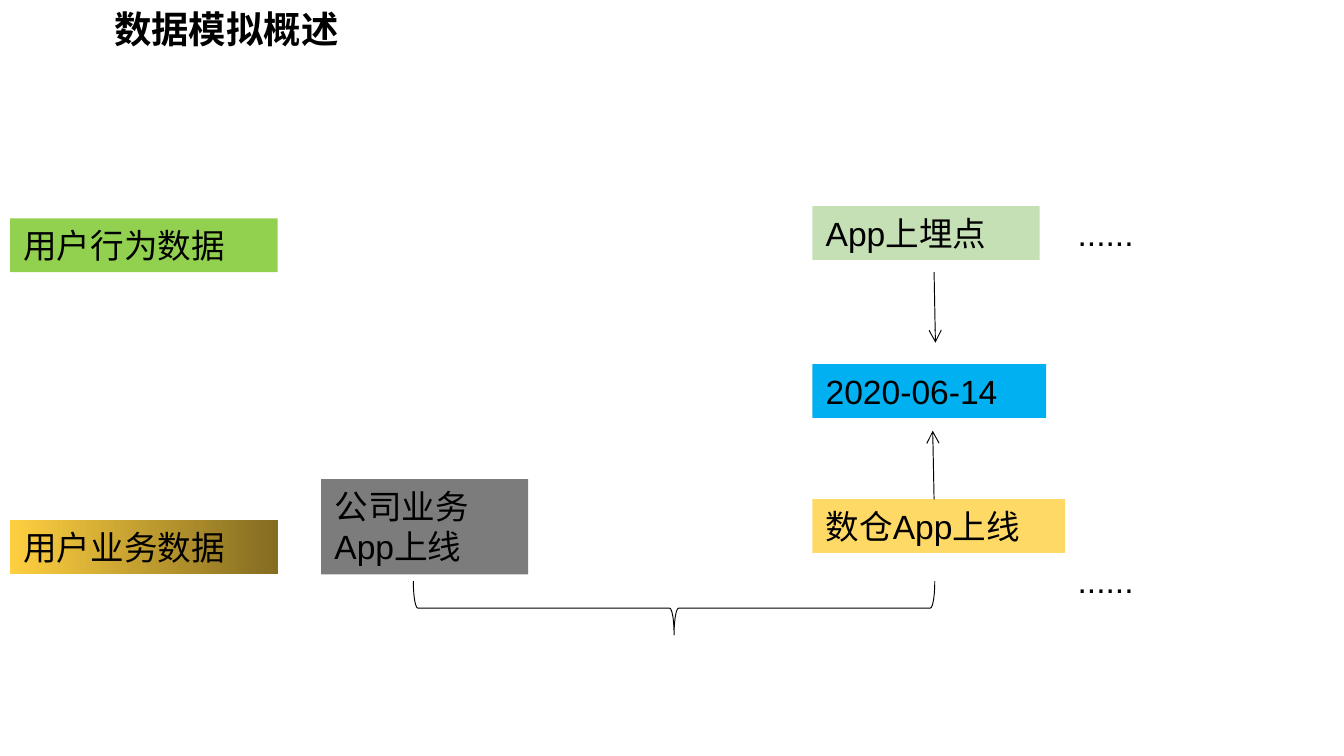
from dataclasses import dataclass

from lxml.etree import SubElement
from pptx import Presentation
from pptx.dml.color import RGBColor
from pptx.enum.shapes import MSO_CONNECTOR, MSO_SHAPE
from pptx.enum.text import MSO_ANCHOR, MSO_AUTO_SIZE, PP_ALIGN
from pptx.oxml.ns import qn
from pptx.util import Pt

PX = 4572  # EMU per px, 200 px to the inch


@dataclass(frozen=True)
class Theme:
    font: str = "Arial"
    title_size: int = 20
    body_size: int = 18
    line_width: float = 0.5
    ink: str = "000000"
    behavior: str = "92D050"
    business: tuple = ("FECF40", "846C21")
    company: str = "7C7C7C"
    warehouse: str = "FFD966"
    tracking: str = "C5E0B4"
    date: str = "00B0F0"


THEME = Theme()


def px(*lengths):
    return [length * PX for length in lengths]


def rgb(code):
    return RGBColor.from_string(code)


def set_text(shape, text, size, bold=False, wrap=True):
    frame = shape.text_frame
    frame.text = text
    frame.word_wrap = wrap
    frame.auto_size = MSO_AUTO_SIZE.SHAPE_TO_FIT_TEXT
    frame.vertical_anchor = MSO_ANCHOR.TOP
    paragraph = frame.paragraphs[0]
    paragraph.alignment = PP_ALIGN.LEFT
    font = paragraph.runs[0].font
    font.name = THEME.font
    font.size = Pt(size)
    font.bold = bold
    font.color.rgb = rgb(THEME.ink)


def set_line(shape):
    shape.line.color.rgb = rgb(THEME.ink)
    shape.line.width = Pt(THEME.line_width)


def add_title(slide, text, left, top, width, height):
    title = slide.shapes.title
    title.left, title.top, title.width, title.height = px(left, top, width, height)
    set_text(title, text, THEME.title_size, bold=True, wrap=False)


def add_label(slide, text, color, left, top, width, height=80):
    """Filled box; a pair of colours gives a left-to-right gradient."""
    label = slide.shapes.add_shape(MSO_SHAPE.RECTANGLE, *px(left, top, width, height))
    label.shadow.inherit = False
    label.line.fill.background()
    if isinstance(color, tuple):
        label.fill.gradient()
        label.fill.gradient_angle = 0
        for stop, code in zip(label.fill.gradient_stops, color):
            stop.color.rgb = rgb(code)
    else:
        label.fill.solid()
        label.fill.fore_color.rgb = rgb(color)
    set_text(label, text, THEME.body_size)


def add_ellipsis(slide, left, top):
    ellipsis = slide.shapes.add_textbox(*px(left, top, 202, 80))
    set_text(ellipsis, "......", THEME.body_size)


def add_brace(slide, left, top, width, height):
    brace = slide.shapes.add_shape(MSO_SHAPE.RIGHT_BRACE, *px(left, top, width, height))
    brace.rotation = 90
    brace.shadow.inherit = False
    brace.fill.background()
    set_line(brace)


def add_arrow(slide, start, end):
    arrow = slide.shapes.add_connector(MSO_CONNECTOR.STRAIGHT, *px(*start, *end))
    set_line(arrow)
    SubElement(arrow.line._get_or_add_ln(), qn("a:tailEnd"), type="arrow")
    SubElement(arrow._element.spPr, qn("a:effectLst"))


def main():
    deck = Presentation()
    deck.slide_width, deck.slide_height = px(2000, 1125)
    slide = deck.slides.add_slide(deck.slide_layouts[5])
    add_title(slide, "数据模拟概述", 150, -1, 374, 88)

    # Kinds of data
    kinds_left, kinds_width = 15, 398
    add_label(slide, "用户行为数据", THEME.behavior, kinds_left, 325, kinds_width)
    add_label(slide, "用户业务数据", THEME.business, kinds_left, 774, kinds_width)

    # Launch events
    events_left = 1209
    add_label(slide, "公司业务App上线", THEME.company, 478, 713, 308, 142)
    add_label(slide, "数仓App上线", THEME.warehouse, events_left, 743, 376)
    add_label(slide, "App上埋点", THEME.tracking, events_left, 307, 338)
    add_label(slide, "2020-06-14", THEME.date, events_left, 542, 348)

    # Span between the two launches
    add_brace(slide, 963, 517, 80, 776)

    # Later data in both rows
    for top in (307, 824):
        add_ellipsis(slide, 1584, top)

    # Both events lead to the date
    add_arrow(slide, (1390, 405), (1392, 510))
    add_arrow(slide, (1390, 743), (1388, 641))

    deck.save("out.pptx")


if __name__ == "__main__":
    main()
